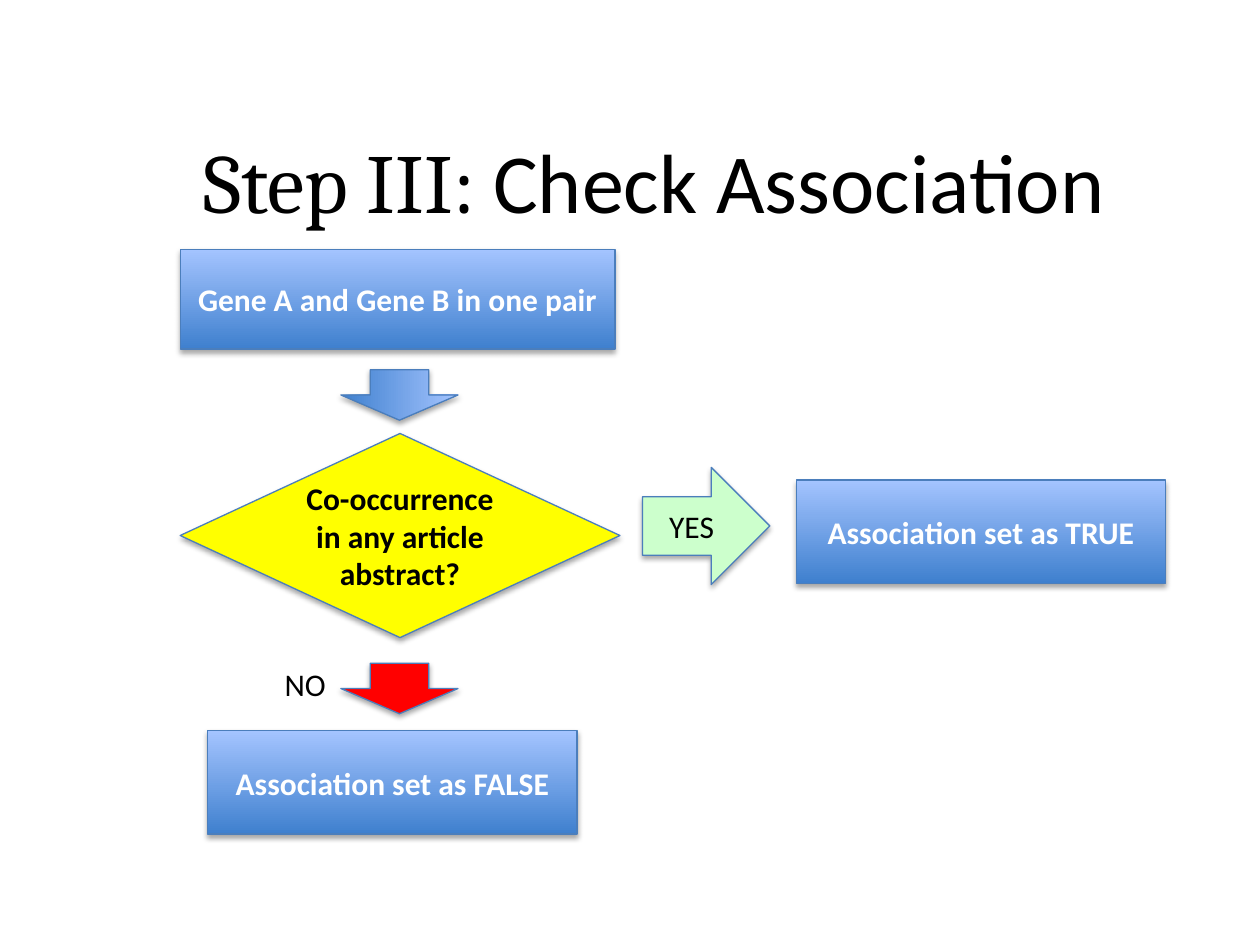
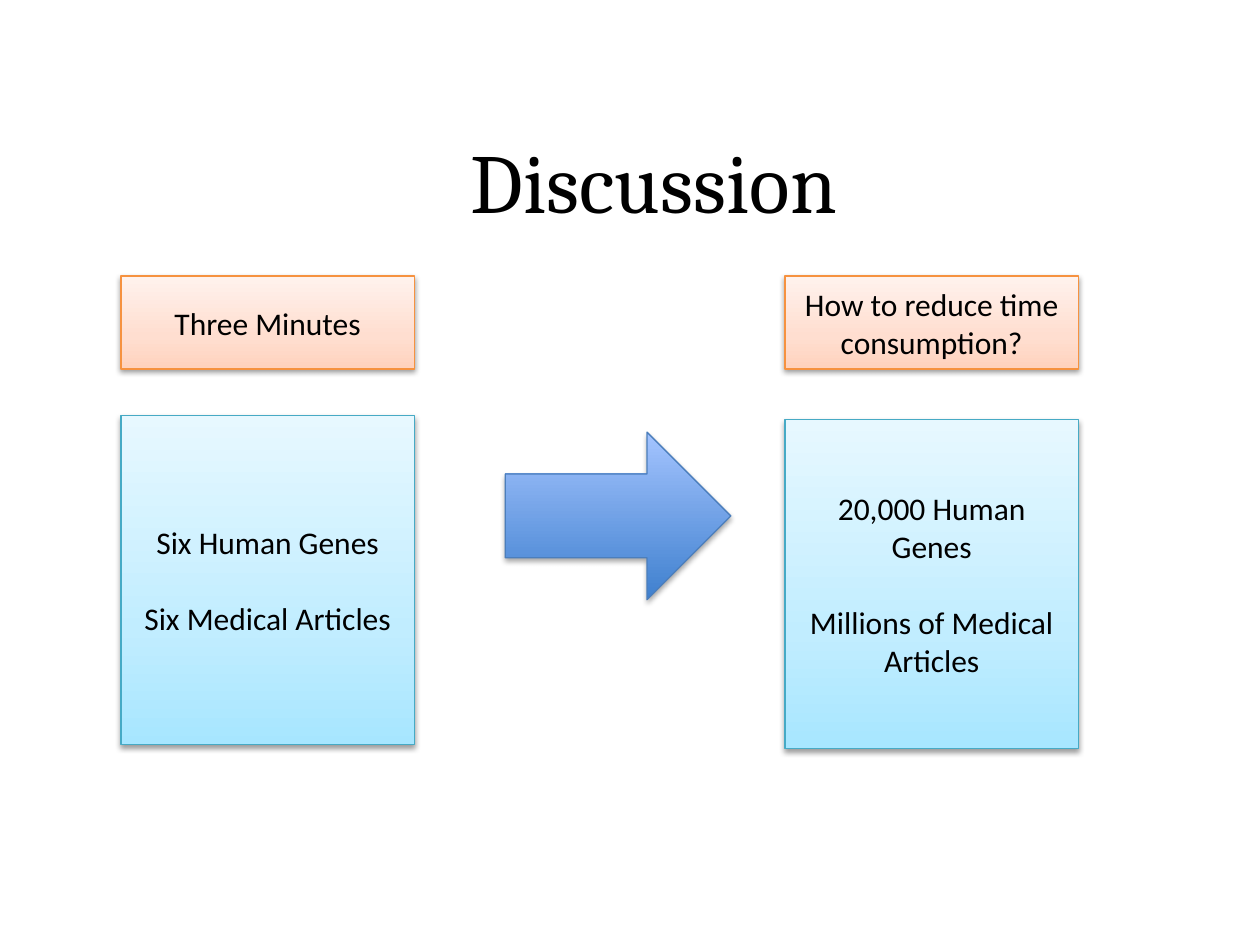
from dataclasses import dataclass
from lxml.etree import SubElement
from pptx import Presentation
from pptx.dml.color import RGBColor
from pptx.enum.shapes import MSO_SHAPE
from pptx.enum.text import MSO_ANCHOR, PP_ALIGN
from pptx.oxml.ns import qn
from pptx.util import Inches, Pt


@dataclass(frozen=True)
class Look:
    """Fill, line, text and shadow of one kind of shape."""
    stops: tuple
    line: str = "4B7EBC"
    text: str = "000000"
    bold: bool = False
    shadow_alpha: int = 35
    shadow_distance: float = 1.8


@dataclass(frozen=True)
class Theme:
    """Colours, fonts and type sizes of the deck."""
    title_font: str = "Cambria"
    body_font: str = "Calibri"
    title_size: int = 48
    body_size: int = 18
    ink: str = "000000"
    process: Look = Look(((0, "3F80CE"), (100, "A4C4FF")), text="FFFFFF", bold=True)
    decision: Look = Look(((0, "FFFF00"),), bold=True)
    yes: Look = Look(((0, "CCFFCC"),))
    no: Look = Look(((0, "FF0000"),))
    heading: Look = Look(((0, "FFD2BD"), (35, "FFDED0"), (100, "FFF2ED")),
                         line="F69240", shadow_alpha=38, shadow_distance=1.6)
    card: Look = Look(((0, "A7E6FF"), (35, "C1EDFF"), (100, "E7F8FF")),
                      line="46AAC5", shadow_alpha=38, shadow_distance=1.6)


THEME = Theme()


def style_font(font, size, color, name, bold=False):
    """Set size, colour, face and weight of a font."""
    font.size, font.name, font.bold = Pt(size), name, bold
    font.color.rgb = RGBColor.from_string(color)


def paint(box, look):
    """Fill a shape with one colour or with a gradient running upwards."""
    if len(look.stops) == 1:
        box.fill.solid()
        box.fill.fore_color.rgb = RGBColor.from_string(look.stops[0][1])
        return
    box.fill.gradient()
    box.fill.gradient_angle = 90
    stop_list = box._element.spPr.find(qn("a:gradFill")).find(qn("a:gsLst"))
    stop_list.clear()
    for position, color in look.stops:
        stop = SubElement(stop_list, qn("a:gs"), pos=str(position * 1000))
        SubElement(stop, qn("a:srgbClr"), val=color)


def cast_shadow(box, look):
    """Give a shape a soft shadow straight below it."""
    box.shadow.inherit = False
    effects = box._element.spPr.find(qn("a:effectLst"))
    shadow = SubElement(effects, qn("a:outerShdw"), blurRad=str(Pt(3.1)),
                        dist=str(Pt(look.shadow_distance)), dir="5400000", rotWithShape="0")
    color = SubElement(shadow, qn("a:srgbClr"), val="000000")
    SubElement(color, qn("a:alpha"), val=str(look.shadow_alpha * 1000))


def add_box(page, kind, left, top, width, height, look, lines=(), rotation=0):
    """Add a styled shape with centred lines one blank line apart."""
    box = page.shapes.add_shape(kind, Inches(left), Inches(top), Inches(width), Inches(height))
    box.rotation = rotation
    paint(box, look)
    box.line.color.rgb = RGBColor.from_string(look.line)
    box.line.width = Pt(0.75)
    cast_shadow(box, look)
    frame = box.text_frame
    frame.vertical_anchor = MSO_ANCHOR.MIDDLE
    for index, line in enumerate(lines):
        para = frame.add_paragraph() if index else frame.paragraphs[0]
        para.text = line
        para.alignment = PP_ALIGN.CENTER
        para.space_before = Pt(22 if index else 0)
        style_font(para.font, THEME.body_size, look.text, THEME.body_font, look.bold)


def add_text(page, left, top, width, height):
    """Add a wrapping text box and return its first paragraph."""
    box = page.shapes.add_textbox(Inches(left), Inches(top), Inches(width), Inches(height))
    box.text_frame.word_wrap = True
    return box.text_frame.paragraphs[0]


def add_title(page, *parts):
    """Write the slide title from pairs of text and font."""
    para = add_text(page, 1.43, 0.98, 7.52, 2.93)
    para.alignment = PP_ALIGN.CENTER
    for text, font in parts:
        span = para.add_run()
        span.text = text
        style_font(span.font, THEME.title_size, THEME.ink, font)


def association_flow(page, left, top):
    """Draw the check of one gene pair with its two outcomes."""
    process, arrow = MSO_SHAPE.FLOWCHART_PROCESS, MSO_SHAPE.RIGHT_ARROW
    add_box(page, process, left, top, 3.45, 0.79, THEME.process,
            ["Gene A and Gene B in one pair"])
    add_box(page, MSO_SHAPE.FLOWCHART_DECISION, left, top + 1.46, 3.49, 1.62, THEME.decision,
            ["Co-occurrence in any article abstract?"])
    for x, y, outcome in ((4.89, 1.83, "TRUE"), (0.22, 3.82, "FALSE")):
        add_box(page, process, left + x, top + y, 2.93, 0.82, THEME.process,
                [f"Association set as {outcome}"])
    for y, look in ((0.69, THEME.process), (3.02, THEME.no)):
        add_box(page, arrow, left + 1.54, top + y, 0.4, 0.93, look, rotation=90)
    add_box(page, arrow, left + 3.67, top + 1.73, 1.01, 0.93, THEME.yes, ["YES"])
    para = add_text(page, left + 0.73, top + 3.25, 1.08, 0.4)
    para.text = "NO"
    style_font(para.font, THEME.body_size, THEME.ink, THEME.body_font)


def workload(page, left, top, card_offset, heading, lines):
    """Draw a heading with room for two lines above a card on the amount of data."""
    add_box(page, MSO_SHAPE.RECTANGLE, left, top, 2.33, 0.74, THEME.heading, [heading])
    add_box(page, MSO_SHAPE.RECTANGLE, left, top + card_offset, 2.33, 2.61, THEME.card, lines)


def association_slide(page):
    """Build the slide on checking an association."""
    add_title(page, ("Step III: ", THEME.title_font), ("Check Association", THEME.body_font))
    association_flow(page, 1.43, 1.98)


def discussion_slide(page):
    """Build the slide comparing the small and the full workload."""
    add_title(page, ("Discussion", THEME.title_font))
    add_box(page, MSO_SHAPE.RIGHT_ARROW, 4.01, 3.43, 1.79, 1.33, THEME.process)
    workload(page, 0.96, 2.19, 1.11, "Three Minutes",
             ["Six Human Genes", "Six Medical Articles"])
    workload(page, 6.23, 2.19, 1.14, "How to reduce time consumption?",
             ["20,000 Human Genes", "Millions of Medical Articles"])


def main():
    """Build and save the deck."""
    deck = Presentation()
    deck.slide_width, deck.slide_height = Inches(10), Inches(7.5)
    for build in (association_slide, discussion_slide):
        build(deck.slides.add_slide(deck.slide_layouts[6]))
    deck.save("out.pptx")


main()
